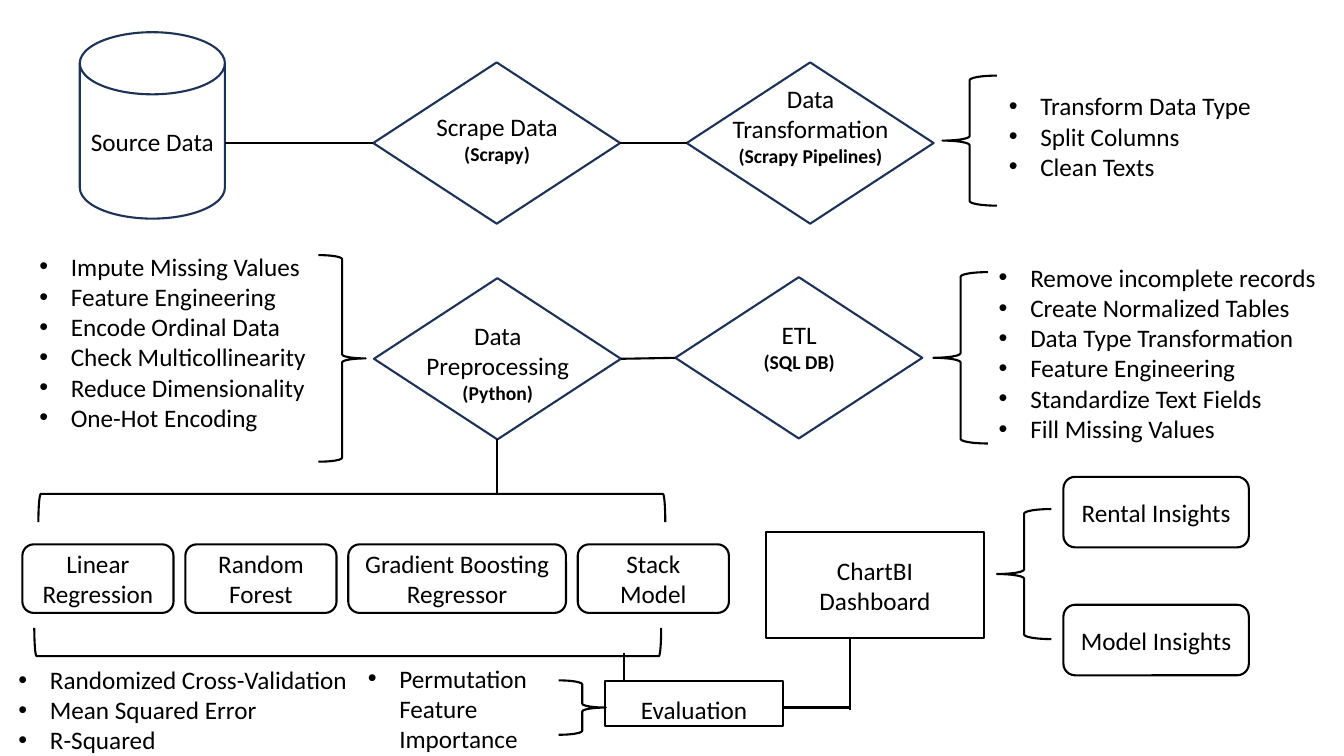
import collections

import pptx
import pptx.dml.color
import pptx.enum.shapes
import pptx.enum.text
import pptx.oxml.ns
import pptx.util
from lxml import etree

Pt = pptx.util.Pt
SHAPE = pptx.enum.shapes.MSO_SHAPE
ALIGN = pptx.enum.text.PP_ALIGN
ANCHOR = pptx.enum.text.MSO_ANCHOR
FIT = pptx.enum.text.MSO_AUTO_SIZE
Box = collections.namedtuple("Box", "left top width height")

BLACK = pptx.dml.color.RGBColor(0, 0, 0)
NAVY = pptx.dml.color.RGBColor(0x1E, 0x32, 0x56)
BODY = {"name": "Calibri", "size": Pt(18), "bold": False}
TOOL = {"name": "Calibri", "size": Pt(14), "bold": True}
LINE_WIDTH = Pt(1.5)
BULLET_INDENT = Pt(22.5)
DIAMOND_SIZE = (176.4, 115.2)


def within(box, left, top, width, height):
    return Box(box.left + left, box.top + top, width, height)


def lengths(box):
    return [Pt(round(value, 2)) for value in box]


def add_bullet(para):
    properties = para._p.get_or_add_pPr()
    properties.set("marL", str(BULLET_INDENT))
    properties.set("indent", str(-BULLET_INDENT))
    font = etree.SubElement(properties, pptx.oxml.ns.qn("a:buFont"))
    font.set("typeface", "Arial")
    bullet = etree.SubElement(properties, pptx.oxml.ns.qn("a:buChar"))
    bullet.set("char", "•")


def write(frame, lines, align, bullets=False):
    for index, (text, font_format) in enumerate(lines):
        para = frame.paragraphs[0] if index == 0 else frame.add_paragraph()
        para.alignment = align
        if bullets:
            add_bullet(para)
        span = para.add_run()
        span.text = text
        for name, value in font_format.items():
            setattr(span.font, name, value)
        span.font.color.rgb = BLACK


def add_outline(page, kind, box, color=BLACK, text=None, rotation=0):
    shape = page.shapes.add_shape(kind, *lengths(box))
    shape.shadow.inherit = False
    shape.fill.background()
    shape.line.color.rgb = color
    shape.line.width = LINE_WIDTH
    shape.rotation = rotation
    if text:
        shape.text_frame.vertical_anchor = ANCHOR.MIDDLE
        write(shape.text_frame, [(text, BODY)], ALIGN.CENTER)
    return shape


def add_text(page, box, lines, align=ALIGN.CENTER, wrap=True, bullets=False):
    frame = page.shapes.add_textbox(*lengths(box)).text_frame
    frame.word_wrap = wrap
    frame.auto_size = FIT.SHAPE_TO_FIT_TEXT
    write(frame, lines, align, bullets)


def add_list(page, box, items, wrap=False):
    lines = [(item, BODY) for item in items]
    add_text(page, box, lines, ALIGN.LEFT, wrap, True)


def add_line(page, start, end, begin_shape=None, begin_side=0, end_shape=None, end_side=0):
    line = page.shapes.add_connector(
        pptx.enum.shapes.MSO_CONNECTOR.STRAIGHT, *lengths(start + end))
    line.line.color.rgb = BLACK
    line.line.width = LINE_WIDTH
    etree.SubElement(line._element.spPr, pptx.oxml.ns.qn("a:effectLst"))
    if begin_shape:
        line.begin_connect(begin_shape, begin_side)
    if end_shape:
        line.end_connect(end_shape, end_side)


def add_stage(page, box, title, tool, label_top, label_height):
    diamond = add_outline(page, SHAPE.FLOWCHART_DECISION, box, NAVY)
    label = within(box, 20.5, label_top, 136, label_height)
    add_text(page, label, [(title, BODY), (tool, TOOL)])
    return diamond


def add_collection(page, box):
    add_outline(page, SHAPE.FLOWCHART_MAGNETIC_DISK, within(box, 0, 0, 103.7, 133.2),
                NAVY, "Source Data")
    scrape = add_stage(page, within(box, 209.6, 21.6, *DIAMOND_SIZE),
                       "Scrape Data", "(Scrapy)", 31.7, 46)
    transform = add_stage(page, within(box, 433.5, 21.6, *DIAMOND_SIZE),
                          "Data Transformation", "(Scrapy Pipelines)", 11.5, 67.7)
    add_outline(page, SHAPE.LEFT_BRACE, within(box, 616.2, 31, 38.9, 92.9))
    add_list(page, within(box, 656.5, 38.2, 189.4, 72.7),
             ["Transform Data Type", "Split Columns", "Clean Texts"])
    middle = box.top + 79.2
    add_line(page, (box.left + 209.6, middle), (box.left + 103.7, middle), scrape, 1)
    add_line(page, (box.left + 433.5, middle), (box.left + 386, middle),
             transform, 1, scrape, 3)


def add_processing(page, box):
    add_list(page, within(box, 0, 0.7, 207.4, 138.2),
             ["Impute Missing Values", "Feature Engineering", "Encode Ordinal Data",
              "Check Multicollinearity", "Reduce Dimensionality", "One-Hot Encoding"])
    add_outline(page, SHAPE.RIGHT_BRACE, within(box, 206.5, 7.2, 33.8, 147.6))
    preprocess = add_stage(page, within(box, 246.1, 23.7, *DIAMOND_SIZE),
                           "Data Preprocessing", "(Python)", 26.6, 67.7)
    storage = add_stage(page, within(box, 461.4, 23, *DIAMOND_SIZE),
                        "ETL", "(SQL DB)", 26.6, 46)
    add_outline(page, SHAPE.LEFT_BRACE, within(box, 645.7, 19.4, 38.9, 122.4))
    add_list(page, within(box, 685.3, 8.6, 243.4, 159.8),
             ["Remove incomplete records", "Create Normalized Tables",
              "Data Type Transformation", "Feature Engineering",
              "Standardize Text Fields", "Fill Missing Values"])
    add_line(page, (box.left + 461.4, box.top + 80.6), (box.left + 422.5, box.top + 81.3),
             storage, 1, preprocess, 3)
    bottom = (box.left + 334.3, box.top + 138.9)
    add_line(page, bottom, (box.left + 334.3, box.top + 177.8), preprocess, 2)


def add_models(page, box):
    for left, top, rotation in ((225.2, -214, 90), (222.3, -118.3, 270)):
        add_outline(page, SHAPE.LEFT_BRACKET, within(box, left, top, 20.2, 447.8),
                    rotation=rotation)
    left = 0
    for name, width in (("Linear Regression", 108), ("Random Forest", 108),
                        ("Gradient Boosting Regressor", 155.5), ("Stack Model", 108)):
        add_outline(page, SHAPE.FLOWCHART_ALTERNATE_PROCESS,
                    within(box, left, 35.8, width, 49), text=name)
        left += width + 8.4


def add_scores(page, box):
    add_list(page, within(box, 0, 0.9, 255.6, 72.7),
             ["Randomized Cross-Validation", "Mean Squared Error", "R-Squared"], True)
    add_list(page, within(box, 249.6, 0, 143.3, 72.7),
             ["Permutation Feature Importance"], True)


def add_evaluation(page, box):
    add_outline(page, SHAPE.RIGHT_BRACE, within(box, 0, 20, 33.8, 38.9))
    add_outline(page, SHAPE.RECTANGLE, within(box, 33, 20.7, 127.4, 31.7))
    add_text(page, within(box, 49.6, 26.5, 94.3, 28.8), [("Evaluation", BODY)])
    add_line(page, (box.left + 46.7, box.top + 0.6), (box.left + 46.7, box.top + 20.7))
    add_line(page, (box.left + 208.7, box.top + 39.4), (box.left + 160.4, box.top + 39.4))


def add_dashboard(page, box):
    add_outline(page, SHAPE.RECTANGLE, within(box, 0.2, 40.2, 155.5, 75.6))
    add_text(page, within(box, 20.4, 53.1, 115.2, 51.1), [("ChartBI Dashboard", BODY)])
    add_outline(page, SHAPE.LEFT_BRACE, within(box, 165.1, 23.6, 38.9, 92.9))
    for row, name in enumerate(("Rental Insights", "Model Insights")):
        add_outline(page, SHAPE.FLOWCHART_ALTERNATE_PROCESS,
                    within(box, 212.6, 0.6 + row * 91.4, 132.5, 50.4), text=name)
    add_line(page, (box.left + 60, box.top + 116), (box.left + 60, box.top + 166.9))


def main():
    deck = pptx.Presentation()
    deck.slide_width, deck.slide_height = Pt(960), Pt(540)
    page = deck.slides.add_slide(deck.slide_layouts[6])
    add_collection(page, Box(57, 23, 846, 133))
    add_processing(page, Box(21, 175, 929, 169))
    add_models(page, Box(16, 353, 505, 120))
    add_scores(page, Box(6, 470, 393, 74))
    add_evaluation(page, Box(399, 466, 209, 60))
    add_dashboard(page, Box(547, 340, 345, 167))
    deck.save("out.pptx")


if __name__ == "__main__":
    main()
